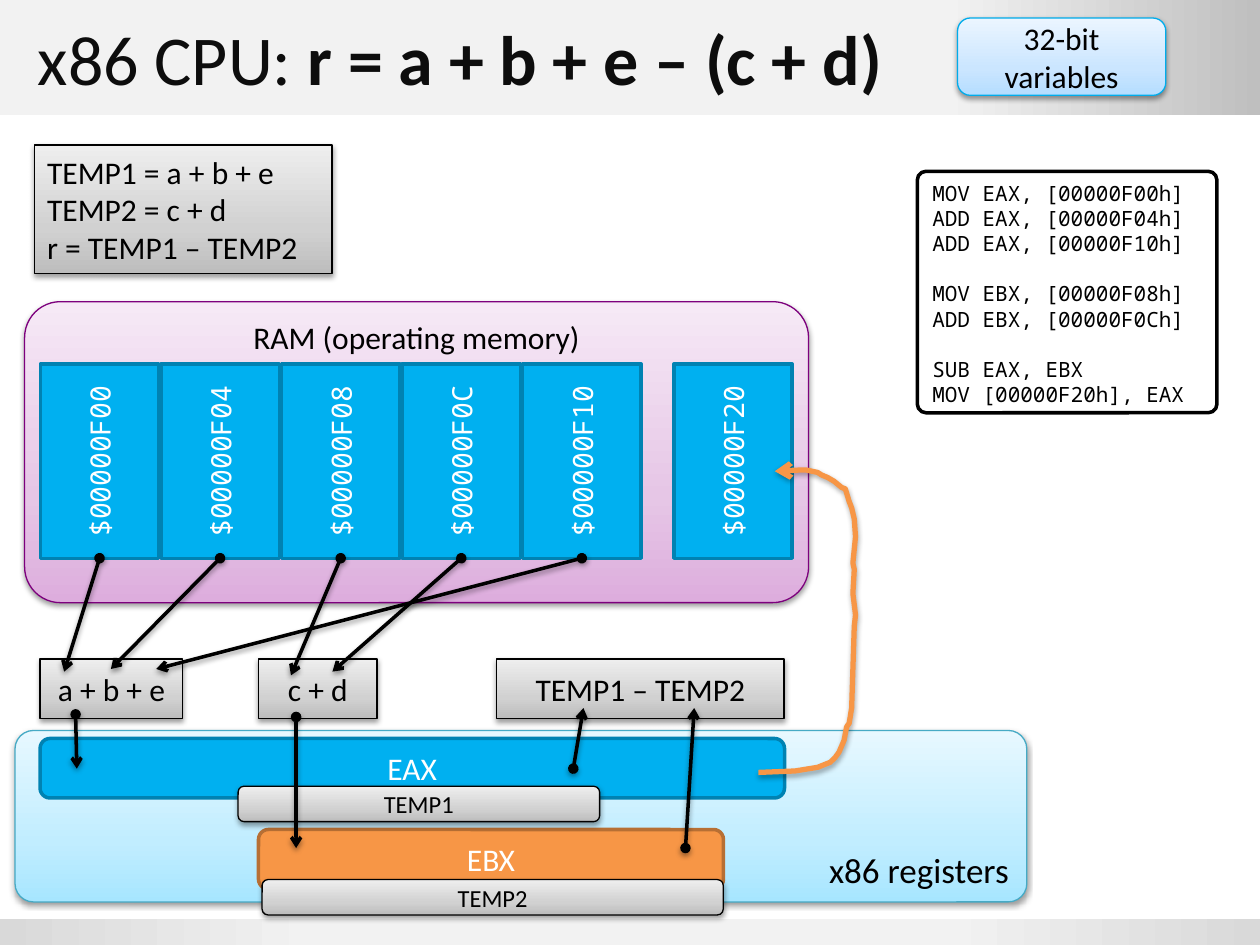
from lxml.etree import SubElement
from pptx import Presentation
from pptx.dml.color import RGBColor
from pptx.enum.shapes import MSO_CONNECTOR, MSO_SHAPE
from pptx.enum.text import MSO_ANCHOR, PP_ALIGN
from pptx.oxml.ns import qn
from pptx.util import Pt

HUES = {
    "black": "000000", "white": "FFFFFF", "ink": "0D0D0D",
    "blue": "00B0F0", "navy": "0082B2", "orange": "F79646", "rust": "B76F34",
    "teal": "46AAC5", "plum": "7D007D", "azure": "00ACEB",
    "pale": "F2F2F2", "ash": "BFBFBF", "mist": "D9D9D9",
    "gray0": "BDBDBD", "gray1": "D1D1D1", "gray2": "EEEEEE",
    "aqua0": "A7E6FF", "aqua1": "C1EDFF", "aqua2": "E7F8FF",
    "pink0": "DDADDD", "pink1": "E6C6E6", "pink2": "F6E9F6",
    "sky0": "B5DDFF", "sky1": "CBE6FF", "sky2": "EBF5FF",
}
SANS, MONO = "Calibri", "Noto Sans Mono"
RECT, ROUND = MSO_SHAPE.RECTANGLE, MSO_SHAPE.ROUNDED_RECTANGLE
LEFT, MID, RIGHT = PP_ALIGN.LEFT, PP_ALIGN.CENTER, PP_ALIGN.RIGHT


def hue(name):
    """Return a named colour."""
    return RGBColor.from_string(HUES[name])


class Board:
    """Holds the slide and the drawing style."""

    def __init__(self, slide):
        """Keep the slide to draw on."""
        self.slide = slide
        self.shapes = slide.shapes

    def blend(self, shape, stops, angle):
        """Fill a shape with a linear gradient, angle clockwise."""
        shape.fill.gradient()
        grad = shape._element.spPr.find(qn("a:gradFill"))
        for part in list(grad):
            grad.remove(part)
        items = SubElement(grad, qn("a:gsLst"))
        for spot, name in stops:
            stop = SubElement(items, qn("a:gs"), pos=str(spot * 1000))
            SubElement(stop, qn("a:srgbClr"), val=HUES[name])
        SubElement(grad, qn("a:lin"), ang=str(angle * 60000), scaled="0")

    def shade(self, shape, alpha=38):
        """Give a shape or line a soft shadow below it."""
        props = shape._element.spPr
        effects = props.find(qn("a:effectLst"))
        if effects is None:
            effects = SubElement(props, qn("a:effectLst"))
        drop = SubElement(effects, qn("a:outerShdw"), blurRad=str(Pt(3.1)),
                          dist=str(Pt(1.6)), dir="5400000", rotWithShape="0")
        tint = SubElement(drop, qn("a:srgbClr"), val=HUES["black"])
        SubElement(tint, qn("a:alpha"), val=str(alpha * 1000))

    def stroke(self, shape, color, width, head=None, tail=None):
        """Style an outline and its ends."""
        shape.line.color.rgb = hue(color)
        shape.line.width = Pt(width)
        ends = shape._element.spPr.find(qn("a:ln"))
        for tag, kind in (("a:headEnd", head), ("a:tailEnd", tail)):
            if kind:
                SubElement(ends, qn(tag), type=kind)

    def band(self, top, height, stops):
        """Draw a full-width gradient strip."""
        strip = self.shapes.add_shape(RECT, 0, Pt(top), Pt(720), Pt(height))
        strip.shadow.inherit = False
        strip.line.fill.background()
        self.blend(strip, stops, 0)

    def title(self, plain, bold):
        """Place the title above the bands drawn so far."""
        head = self.shapes.title
        self.shapes._spTree.append(head._element)
        head.left, head.top, head.width, head.height = Pt(14.4), 0, Pt(692), Pt(66)
        head.text_frame.vertical_anchor = MSO_ANCHOR.MIDDLE
        para = head.text_frame.paragraphs[0]
        para.alignment = LEFT
        para.add_run().text = plain
        strong = para.add_run()
        strong.text = bold
        strong.font.bold = True
        para.font.name, para.font.size = SANS, Pt(40)
        para.font.color.rgb = hue("ink")

    def box(self, area, lines, fill="gray", edge="black", form=RECT, width=0.75,
            size=18, face=SANS, ink="black", align=MID,
            anchor=MSO_ANCHOR.MIDDLE, bend=None, pitch=None):
        """Draw a box with text; a gradient fill also brings a shadow."""
        shape = self.shapes.add_shape(form, *map(Pt, area))
        shape.shadow.inherit = False
        if bend:
            shape.adjustments[0] = bend
        self.stroke(shape, edge, width)
        if fill + "0" in HUES:
            self.blend(shape, [(spot, f"{fill}{i}")
                               for i, spot in enumerate((0, 35, 100))], 270)
            self.shade(shape)
        else:
            shape.fill.solid()
            shape.fill.fore_color.rgb = hue(fill)
        frame = shape.text_frame
        frame.word_wrap = True
        frame.vertical_anchor = anchor
        frame.text = lines
        for para in frame.paragraphs:
            para.alignment = align
            para.font.name, para.font.size = face, Pt(size)
            para.font.color.rgb = hue(ink)
            if pitch:
                para.line_spacing = Pt(pitch)
        return shape

    def cell(self, mid, label):
        """Draw an upright memory cell centred on a given x."""
        tile = self.box((mid - 55.5, 229.7, 111, 67.7), label, "blue", "navy",
                        width=2, size=16, face=MONO, ink="white")
        tile.rotation = 270

    def arrow(self, start, end):
        """Draw an arrow that starts with a dot."""
        line = self.shapes.add_connector(MSO_CONNECTOR.STRAIGHT,
                                         *map(Pt, start + end))
        self.stroke(line, "black", 2, "oval", "arrow")
        self.shade(line)

    def curve(self, spots):
        """Draw a hand-drawn arrow through the spots."""
        first, *rest = [(Pt(x), Pt(y)) for x, y in spots]
        pen = self.shapes.build_freeform(*first)
        pen.add_line_segments(rest, close=False)
        path = pen.convert_to_shape()
        path.shadow.inherit = False
        path.fill.background()
        self.stroke(path, "orange", 3, tail="arrow")
        self.shade(path, 35)


deck = Presentation()
deck.slide_width, deck.slide_height = Pt(720), Pt(540)
board = Board(deck.slides.add_slide(deck.slide_layouts[5]))

board.band(0, 66, [(75, "pale"), (100, "ash")])
board.band(525, 15, [(0, "mist"), (25, "pale"), (75, "pale"), (100, "mist")])
board.box((8.6, 417.4, 578.2, 98), "x86 registers", "aqua", "teal", ROUND, size=20,
          align=RIGHT, anchor=MSO_ANCHOR.BOTTOM, bend=0.108)
board.title("x86 CPU:", " r = a + b + e – (c + d)")

board.box((19.8, 82.9, 170, 73.4),
          "TEMP1 = a + b + e\nTEMP2 = c + d\nr = TEMP1 – TEMP2", align=LEFT)
for left, width, label in ((22.9, 81.5, "a + b + e"), (147.7, 67.8, "c + d"),
                           (283.8, 164.2, "TEMP1 – TEMP2")):
    board.box((left, 376.6, width, 34), label)
board.box((22.9, 422, 425.4, 34), "EAX", "blue", "navy", ROUND, 2, ink="white")
board.box((147.7, 474, 265.7, 34), "EBX", "orange", "rust", ROUND, 2, ink="white")

board.box((14.1, 172.4, 448, 172), "RAM (operating memory)", "pink", "plum", ROUND,
          anchor=MSO_ANCHOR.TOP, bend=0.119)
mids = [56.9 + 68.9 * i for i in range(5)]
for mid, tail in zip(mids + [418.9], ("00", "04", "08", "0C", "10", "20")):
    board.cell(mid, "$00000F" + tail)

code = board.box((524.2, 97.9, 171.2, 138), "\n".join((
    "MOV EAX, [00000F00h]", "ADD EAX, [00000F04h]", "ADD EAX, [00000F10h]",
    "MOV EBX, [00000F08h]", "ADD EBX, [00000F0Ch]",
    "SUB EAX, EBX", "MOV [00000F20h], EAX")), "white", form=ROUND, width=2,
    size=12, face=MONO, align=LEFT, anchor=MSO_ANCHOR.TOP, bend=0.036, pitch=14.4)
for row in (3, 5):
    code.text_frame.paragraphs[row].space_before = Pt(14.4)

board.box((547.2, 10.3, 119, 44.2), "32-bit variables", "sky", "azure", ROUND)
board.curve([
    (433.4, 441.4), (454.3, 440.6), (467.3, 438.5), (474.5, 435.6), (477.4, 432.7),
    (479.5, 429.8), (482.4, 423), (483.8, 415.4), (485.3, 413.3), (486.7, 404.6),
    (488.2, 357.8), (488.9, 351.4), (488.2, 345.6), (487.4, 339.1), (488.2, 325.4),
    (487.4, 321.8), (488.9, 306.7), (488.2, 296.6), (486.7, 290.2), (485.3, 286.6),
    (483.1, 279.4), (481, 278.6), (476.6, 275), (473, 272.9), (469.4, 271.4),
    (467.3, 270), (460.8, 268.6), (457.2, 268.6), (442.8, 269.3)])
for area, label in (((136.1, 449.3, 206.6, 20.2), "TEMP1"),
                    ((149.8, 502.6, 263.5, 20.2), "TEMP2")):
    board.box(area, label, form=ROUND, size=14)

ends = ((36.7, 383.8), (63.4, 382.3), (166.3, 385.9), (190, 383.8), (89.3, 382.3))
for mid, end in zip(mids, ends):
    board.arrow((mid, 319), end)
for start, end in (((43.2, 408.2), (43.9, 439.2)), ((327.6, 439.2), (333.4, 404.6)),
                   ((391.7, 484.6), (396.7, 404.6)), ((169.2, 409.7), (169.2, 484.6))):
    board.arrow(start, end)

deck.save("out.pptx")
